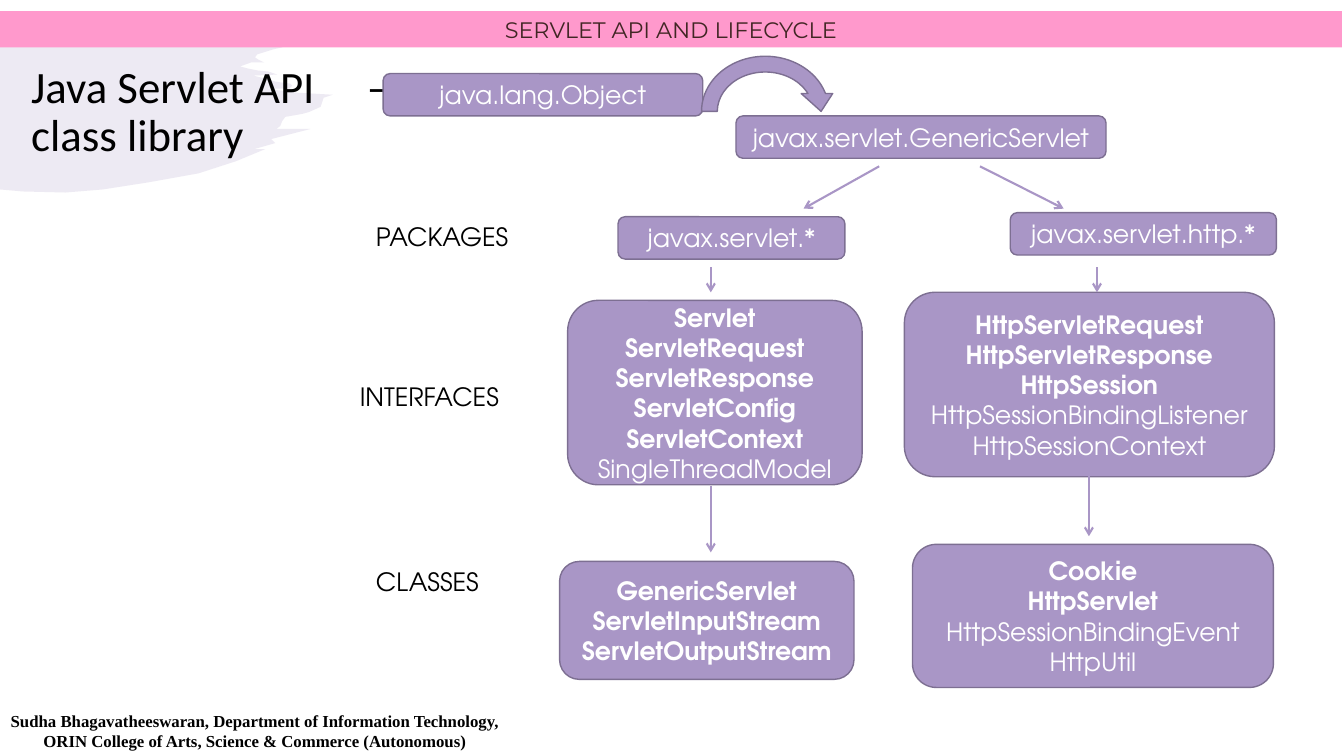
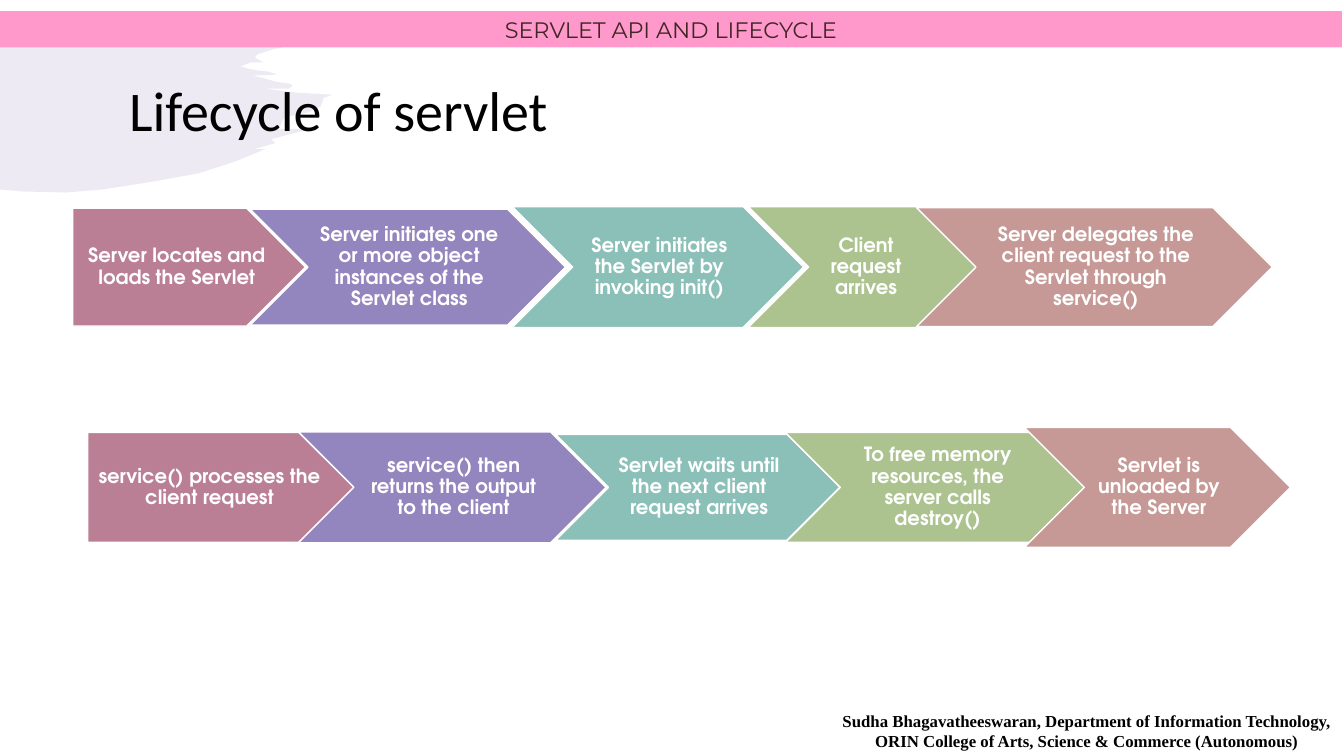
import collections

import pptx
import pptx.dml.color
import pptx.enum.shapes
import pptx.enum.text
import pptx.oxml
import pptx.oxml.ns
import pptx.util

RGB = pptx.dml.color.RGBColor
SHAPE = pptx.enum.shapes.MSO_SHAPE
ALIGN = pptx.enum.text.PP_ALIGN
ANCHOR = pptx.enum.text.MSO_ANCHOR

PX = 9144  # EMU per px, 100 px to the inch
SLIDE_WIDTH, SLIDE_HEIGHT = 1333, 750

LILAC = RGB(0xA9, 0x96, 0xC6)
LILAC_EDGE = RGB(0x7D, 0x6F, 0x92)
PINK = RGB(0xFF, 0x99, 0xCC)
BROWN = RGB(0x41, 0x26, 0x24)
BLACK = RGB(0, 0, 0)
WHITE = RGB(0xFF, 0xFF, 0xFF)
STEP_COLOURS = [
    RGB(0xBA, 0x7F, 0x94),
    RGB(0x93, 0x85, 0xBD),
    RGB(0x8B, 0xC0, 0xB8),
    RGB(0xAC, 0xC3, 0x90),
    RGB(0xC6, 0x99, 0x96),
]

TITLE_FONT = "Calibri"
BAND_FONT = "Montserrat"
BODY_FONT = "TeX Gyre Adventor"
FOOTER_FONT = "Times New Roman"

BAND_TEXT = "SERVLET API AND LIFECYCLE"
FOOTER_LINES = [
    "Sudha Bhagavatheeswaran, Department of Information Technology,",
    "ORIN College of Arts, Science & Commerce (Autonomous)",
]
FOOTER_WIDTH = 510

# Ragged brush stroke behind the title
BRUSH_OUTLINE = [
    (0, 34), (25, 37), (66, 38), (102, 37), (151, 38), (194, 41), (248, 41),
    (268, 42), (280, 47), (271, 49), (255, 54), (253, 57), (256, 59), (262, 62),
    (249, 62), (238, 66), (246, 68), (256, 70), (266, 71), (275, 74), (251, 75),
    (263, 78), (273, 81), (280, 82), (288, 83), (290, 85), (287, 88), (284, 88),
    (263, 88), (295, 92), (330, 94), (321, 97), (318, 106), (307, 111),
    (300, 113), (283, 116), (280, 120), (278, 125), (274, 128), (308, 128),
    (269, 138), (273, 142), (252, 148), (263, 148), (234, 160), (197, 172),
    (147, 181), (102, 188), (65, 191), (23, 190), (0, 188),
]

Box = collections.namedtuple("Box", "left top width height")

# Class diagram: box, bold lines, plain lines
NODES = [
    (Box(33, 25, 317, 42), [], ["java.lang.Object"]),
    (Box(383, 67, 367, 42), [], ["javax.servlet.GenericServlet"]),
    (Box(266, 167, 225, 42), [], ["javax.servlet.*"]),
    (Box(655, 163, 264, 42), [], ["javax.servlet.http.*"]),
    (Box(216, 250, 292, 183),
     ["Servlet", "ServletRequest", "ServletResponse", "ServletConfig", "ServletContext"],
     ["SingleThreadModel"]),
    (Box(550, 242, 367, 183),
     ["HttpServletRequest", "HttpServletResponse", "HttpSession"],
     ["HttpSessionBindingListener", "HttpSessionContext"]),
    (Box(208, 509, 292, 117),
     ["GenericServlet", "ServletInputStream", "ServletOutputStream"], []),
    (Box(558, 492, 358, 142),
     ["Cookie", "HttpServlet"], ["HttpSessionBindingEvent", "HttpUtil"]),
]
ROW_LABELS = [
    (Box(16, 167, 167, 42), "PACKAGES"),
    (Box(0, 325, 192, 40), "INTERFACES"),
    (Box(16, 509, 167, 42), "CLASSES"),
]
INHERITANCE_ARROW = Box(341, 0, 142, 125)
ARROWS = [
    (525, 117, 450, 159), (625, 117, 708, 159),
    (358, 217, 358, 242), (741, 217, 741, 242),
    (358, 434, 358, 500), (733, 417, 733, 484),
]

# Lifecycle steps: offset, width, height, text
FIRST_STEPS = [
    (0, 231, 117, "Server locates and loads the Servlet"),
    (176, 313, 115, "Server initiates one or more object instances of the Servlet class"),
    (436, 289, 120, "Server initiates the Servlet by invoking init()"),
    (670, 231, 120, "Client request arrives"),
    (837, 353, 118, "Server delegates the client request to the Servlet through service()"),
]
LAST_STEPS = [
    (0, 264, 109, "service() processes the client request"),
    (209, 305, 110, "service() then returns the output to the client"),
    (464, 282, 105, "Servlet waits until the next client request arrives"),
    (692, 299, 109, "To free memory resources, the server calls destroy()"),
    (929, 264, 119, "Servlet is unloaded by the Server"),
]


def emu(*lengths):
    return [round(length * PX) for length in lengths]


def inside(region, box):
    """Shift a box from region coordinates to slide coordinates."""
    return box._replace(left=region.left + box.left, top=region.top + box.top)


def write(shape, lines, font, size, colour, bold=(), align=ALIGN.CENTER,
          anchor=ANCHOR.MIDDLE, spacing=1.0):
    """Fill a shape with one paragraph per line; bold names the bold lines."""
    frame = shape.text_frame
    frame.word_wrap = True
    frame.vertical_anchor = anchor
    for index, line in enumerate(lines):
        para = frame.add_paragraph() if index else frame.paragraphs[0]
        para.text = line
        para.alignment = align
        para.line_spacing = spacing
        para.font.name = font
        para.font.size = pptx.util.Pt(size)
        para.font.bold = line in bold
        para.font.color.rgb = colour


def paint(shape, fill, edge=None):
    shape.shadow.inherit = False
    shape.fill.solid()
    shape.fill.fore_color.rgb = fill
    if edge is None:
        shape.line.fill.background()
    else:
        shape.line.color.rgb = edge
        shape.line.width = pptx.util.Pt(1)


def add_filled(page, kind, box, fill, edge=None):
    shape = page.shapes.add_shape(kind, *emu(*box))
    paint(shape, fill, edge)
    return shape


def add_arrow(page, region, start_x, start_y, end_x, end_y):
    line = page.shapes.add_connector(
        pptx.enum.shapes.MSO_CONNECTOR.STRAIGHT,
        *emu(region.left + start_x, region.top + start_y,
             region.left + end_x, region.top + end_y))
    line.line.color.rgb = LILAC
    line.line.width = pptx.util.Pt(1.5)
    namespace = pptx.oxml.ns.nsdecls("a")
    properties = line.element.find(pptx.oxml.ns.qn("p:spPr"))
    properties.find(pptx.oxml.ns.qn("a:ln")).append(
        pptx.oxml.parse_xml(f'<a:tailEnd {namespace} type="arrow"/>'))
    properties.append(pptx.oxml.parse_xml(f"<a:effectLst {namespace}/>"))


def add_brush_to_layout(page):
    """Draw the brush stroke and move it to the layout that all pages share."""
    layout = page.slide_layout
    for holder in list(layout.placeholders):
        if holder.placeholder_format.type != pptx.enum.shapes.PP_PLACEHOLDER.TITLE:
            layout.shapes.element.remove(holder.element)
    builder = page.shapes.build_freeform(*BRUSH_OUTLINE[0], scale=PX)
    builder.add_line_segments(BRUSH_OUTLINE[1:], close=True)
    brush = builder.convert_to_shape()
    paint(brush, LILAC)
    colour = brush.element.find(".//" + pptx.oxml.ns.qn("a:srgbClr"))
    colour.append(pptx.oxml.parse_xml(
        f'<a:alpha {pptx.oxml.ns.nsdecls("a")} val="20000"/>'))
    layout.shapes.element.append(brush.element)


def add_title(page, box, text, size, tab=None):
    title = page.shapes.title
    title.left, title.top, title.width, title.height = emu(*box)
    title.text_frame.auto_size = pptx.enum.text.MSO_AUTO_SIZE.NONE
    if tab:
        tabs = pptx.oxml.parse_xml(
            f'<a:tabLst {pptx.oxml.ns.nsdecls("a")}>'
            f'<a:tab pos="{tab * PX}" algn="l"/></a:tabLst>')
        para = title.text_frame.paragraphs[0]
        para.alignment = ALIGN.LEFT
        para._p.find(pptx.oxml.ns.qn("a:pPr")).append(tabs)
    write(title, [text], TITLE_FONT, size, BLACK, align=ALIGN.LEFT, spacing=0.9)


def add_band(page):
    band = add_filled(page, SHAPE.RECTANGLE, Box(0, 11, 1331, 36), PINK)
    write(band, [BAND_TEXT], BAND_FONT, 16, BROWN)


def add_footer(page, left):
    footer = page.shapes.add_textbox(*emu(left, 700, FOOTER_WIDTH, 50))
    write(footer, FOOTER_LINES, FOOTER_FONT, 12, BLACK, bold=FOOTER_LINES,
          anchor=ANCHOR.TOP)


def add_class_diagram(page, region):
    for box, strong, plain in NODES:
        node = add_filled(page, SHAPE.FLOWCHART_ALTERNATE_PROCESS,
                          inside(region, box), LILAC, LILAC_EDGE)
        write(node, strong + plain, BODY_FONT, 18, WHITE, bold=strong)
    for box, text in ROW_LABELS:
        label = page.shapes.add_textbox(*emu(*inside(region, box)))
        write(label, [text], BODY_FONT, 18, BLACK, align=ALIGN.LEFT,
              anchor=ANCHOR.TOP)
    add_filled(page, SHAPE.CIRCULAR_ARROW, inside(region, INHERITANCE_ARROW),
               LILAC, LILAC_EDGE)
    for ends in ARROWS:
        add_arrow(page, region, *ends)


def add_step_row(page, region, steps):
    """Chevrons centred on the region's middle line, the first with a flat back."""
    for index, (offset, width, height, text) in enumerate(steps):
        box = Box(offset, (region.height - height) / 2, width, height)
        kind = SHAPE.CHEVRON if index else SHAPE.PENTAGON
        step = add_filled(page, kind, inside(region, box), STEP_COLOURS[index], WHITE)
        frame = step.text_frame
        frame.margin_left, frame.margin_right = emu(6 if index else 8, 3)
        frame.margin_top = frame.margin_bottom = 4 * PX
        write(step, [text], BODY_FONT, 14, WHITE, bold=[text], spacing=0.9)


def build_library_page(page):
    add_title(page, Box(21, 61, 426, 102), "Java Servlet API\t– class library", 32, tab=333)
    add_band(page)
    add_footer(page, -2)
    add_class_diagram(page, Box(347, 48, 919, 634))


def build_lifecycle_page(page):
    add_title(page, Box(118, 71, 850, 83), "Lifecycle of servlet", 40)
    add_footer(page, SLIDE_WIDTH - FOOTER_WIDTH)
    add_band(page)
    add_step_row(page, Box(72, 205, 1190, 120), FIRST_STEPS)
    add_step_row(page, Box(87, 424, 1193, 119), LAST_STEPS)


def main():
    deck = pptx.Presentation()
    deck.slide_width, deck.slide_height = emu(SLIDE_WIDTH, SLIDE_HEIGHT)
    layout = deck.slide_layouts[5]  # title only
    library_page = deck.slides.add_slide(layout)
    add_brush_to_layout(library_page)
    build_library_page(library_page)
    build_lifecycle_page(deck.slides.add_slide(layout))
    deck.save("out.pptx")


if __name__ == "__main__":
    main()
